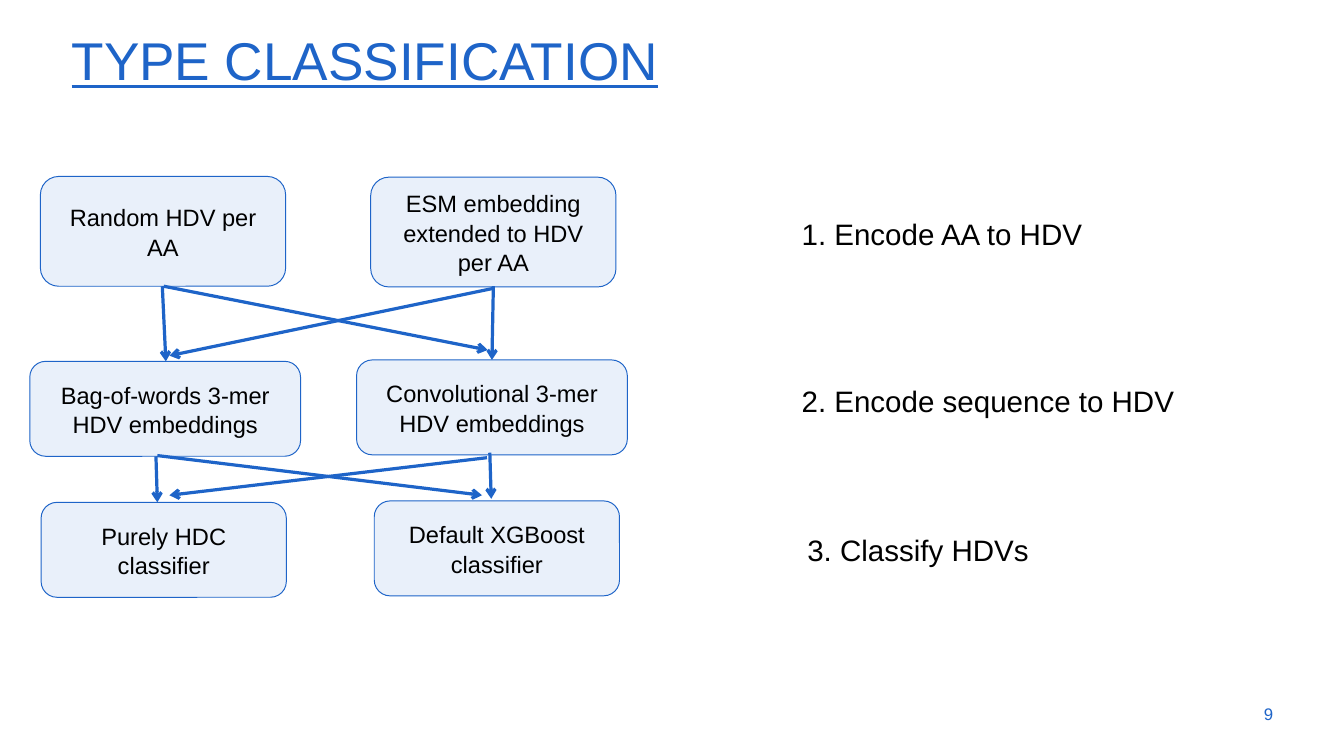
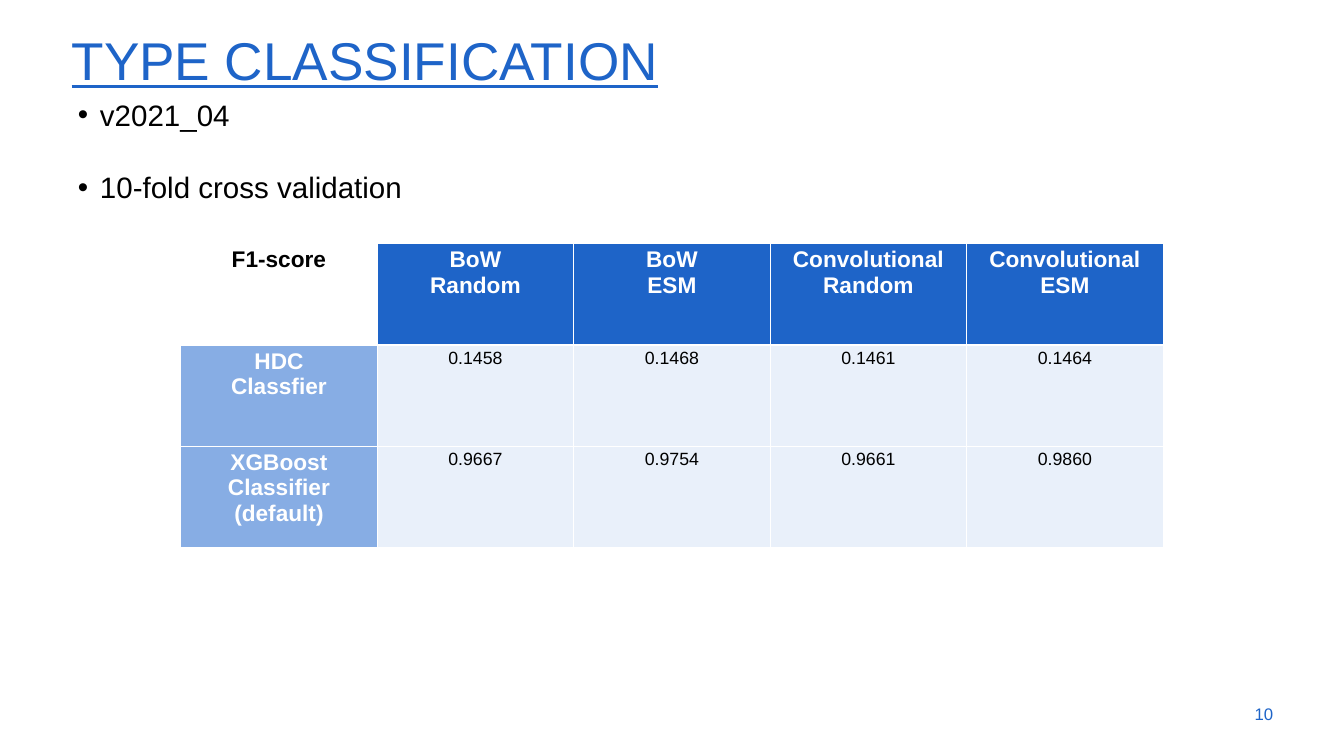
from lxml.etree import SubElement
from pptx import Presentation
from pptx.dml.color import RGBColor
from pptx.enum.shapes import MSO_CONNECTOR as Link, MSO_SHAPE as Shape
from pptx.enum.text import MSO_ANCHOR as Anchor, MSO_AUTO_SIZE as Fit, PP_ALIGN as Align
from pptx.oxml.ns import qn
from pptx.util import Inches, Pt

BLUE = RGBColor(0x1E, 0x64, 0xC8)
MID = RGBColor(0x87, 0xAD, 0xE4)
PALE = RGBColor(0xE9, 0xF0, 0xFA)
BLACK = RGBColor(0, 0, 0)
WHITE = RGBColor(255, 255, 255)
FONT = "Arial"
LEAD = 1.05

TITLE = "TYPE CLASSIFICATION"
BOXES = [
    ("Random HDV per AA", 0.57, 2.49, 3.46, 1.55),
    ("ESM embedding extended to HDV per AA", 5.23, 2.5, 3.46, 1.55),
    ("Bag-of-words 3-mer HDV embeddings", 0.42, 5.1, 3.82, 1.34),
    ("Convolutional 3-mer HDV embeddings", 5.03, 5.08, 3.82, 1.34),
    ("Purely HDC\nclassifier", 0.58, 7.09, 3.46, 1.34),
    ("Default XGBoost classifier", 5.28, 7.07, 3.46, 1.34),
]
ARROWS = [
    (2.29, 4.04, 2.34, 5.1),
    (6.96, 4.04, 6.94, 5.08),
    (6.96, 4.07, 2.39, 5.02),
    (2.31, 4.04, 6.88, 4.94),
    (6.87, 6.46, 2.39, 6.99),
    (2.22, 6.43, 6.8, 6.99),
    (2.2, 6.44, 2.22, 7.09),
    (6.91, 6.39, 6.93, 7.04),
]
STEPS = [
    ("1. Encode AA to HDV", 11.21, 2.97),
    ("2. Encode sequence to HDV", 11.21, 5.33),
    ("3. Classify HDVs", 11.29, 7.43),
]
POINTS = ["v2021_04", "10-fold cross validation"]
SCORES = [
    ["F1-score", "BoW\nRandom", "BoW\nESM", "Convolutional\nRandom", "Convolutional\nESM"],
    ["HDC\nClassfier", "0.1458", "0.1468", "0.1461", "0.1464"],
    ["XGBoost\nClassifier\n(default)", "0.9667", "0.9754", "0.9661", "0.9860"],
]


def style(frame, text, size, color, align=Align.LEFT, lead=1.0, bold=False):
    frame.text = text
    for para in frame.paragraphs:
        para.alignment = align
        para.line_spacing = lead
        para.space_before = para.space_after = Pt(0)
        font = para.font
        font.name, font.size, font.bold = FONT, Pt(size), bold
        font.color.rgb = color


def place(shape, *area):
    shape.left, shape.top, shape.width, shape.height = map(Inches, area)


def add_text(slide, text, area, size, color, align=Align.LEFT, lead=1.0):
    box = slide.shapes.add_textbox(*map(Inches, area))
    box.text_frame.word_wrap = True
    style(box.text_frame, text, size, color, align, lead)
    return box.text_frame


def add_page(layout, number):
    slide = deck.slides.add_slide(deck.slide_layouts[layout])
    title = slide.shapes.title
    place(title, 0.91, 0.28, 17.18, 0.94)
    frame = title.text_frame
    style(frame, TITLE, 54, BLUE)
    frame.paragraphs[0].font.underline = True
    frame.auto_size = Fit.NONE
    frame.vertical_anchor = Anchor.TOP
    frame.margin_top = Inches(0.11)
    foot = add_text(slide, str(number), (17.05, 9.79, 1.01, 0.57), 17, BLUE, Align.RIGHT)
    foot.vertical_anchor = Anchor.MIDDLE
    return slide


def add_box(slide, text, *area):
    box = slide.shapes.add_shape(Shape.ROUNDED_RECTANGLE, *map(Inches, area))
    box.shadow.inherit = False
    box.fill.solid()
    box.fill.fore_color.rgb = PALE
    box.line.color.rgb = BLUE
    box.line.width = Pt(1)
    frame = box.text_frame
    frame.word_wrap = True
    frame.margin_left = frame.margin_right = Inches(0.2)
    frame.vertical_anchor = Anchor.MIDDLE
    style(frame, text, 24, BLACK, Align.CENTER, LEAD)


def add_arrow(slide, *ends):
    arrow = slide.shapes.add_connector(Link.STRAIGHT, *map(Inches, ends))
    arrow.line.color.rgb = BLUE
    arrow.line.width = Pt(3.25)
    SubElement(arrow.line._get_or_add_ln(), qn("a:tailEnd"), type="arrow")
    SubElement(arrow._element.spPr, qn("a:effectLst"))


def add_edges(cell, head):
    props = cell._tc.get_or_add_tcPr()
    for spot, side in enumerate("LRTB"):
        thick = 3 if head and side == "B" else 1
        edge = props.makeelement(qn(f"a:ln{side}"), {"w": str(Pt(thick))})
        fill = SubElement(edge, qn("a:solidFill"))
        SubElement(fill, qn("a:srgbClr"), val=str(WHITE))
        props.insert(spot, edge)


def add_scores(slide):
    rows, cols = len(SCORES), len(SCORES[0])
    area = map(Inches, (2.55, 3.44, 13.86, 4.29))
    table = slide.shapes.add_table(rows, cols, *area).table
    for r, row in enumerate(SCORES):
        for c, text in enumerate(row):
            cell = table.cell(r, c)
            head = r == 0 or c == 0
            color = WHITE if r + c and head else BLACK
            style(cell.text_frame, text, 23 if head else 18, color, Align.CENTER, bold=head)
            if r + c:
                cell.fill.solid()
                cell.fill.fore_color.rgb = BLUE if r == 0 else MID if c == 0 else PALE
            else:
                cell.fill.background()
            add_edges(cell, r == 0)


def add_points(slide):
    body = slide.placeholders[1]
    place(body, 1, 1.29, 16.75, 1.61)
    frame = body.text_frame
    style(frame, "\n".join(POINTS), 30, BLACK, lead=LEAD)
    frame.auto_size = Fit.NONE
    frame.vertical_anchor = Anchor.TOP
    for para in frame.paragraphs:
        props = para._p.get_or_add_pPr()
        props.set("marL", str(Inches(0.31)))
        props.set("indent", str(-Inches(0.31)))
        mark = props.makeelement(qn("a:buChar"), {"char": "•"})
        props.insert_element_before(mark, "a:tabLst", "a:defRPr", "a:extLst")
    frame.paragraphs[1].space_before = Pt(36)


deck = Presentation()
deck.slide_width, deck.slide_height = Inches(18.96), Inches(10.67)

flow = add_page(5, 9)
for box in BOXES:
    add_box(flow, *box)
for ends in ARROWS:
    add_arrow(flow, *ends)
for text, left, top in STEPS:
    add_text(flow, text, (left, top, 7.22, 0.6), 30, BLACK, lead=LEAD)

result = add_page(1, 10)
add_scores(result)
add_points(result)

deck.save("out.pptx")
